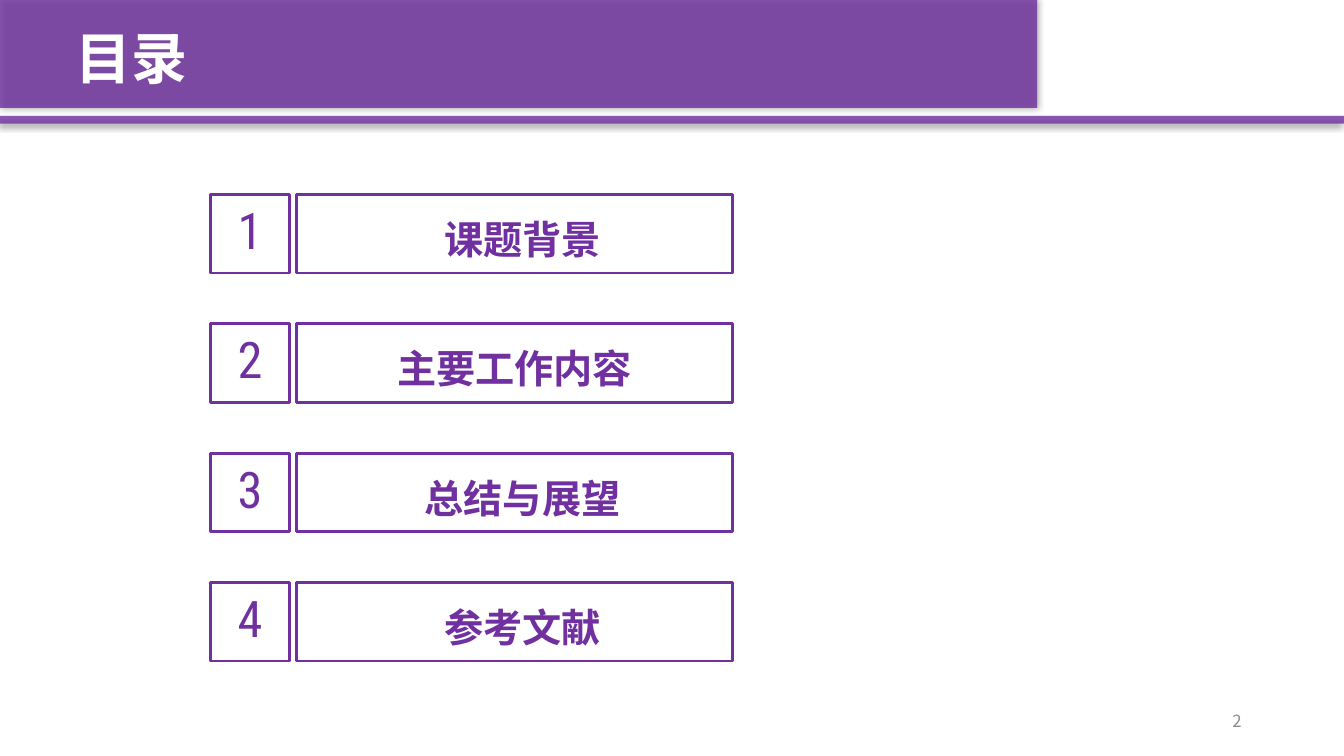
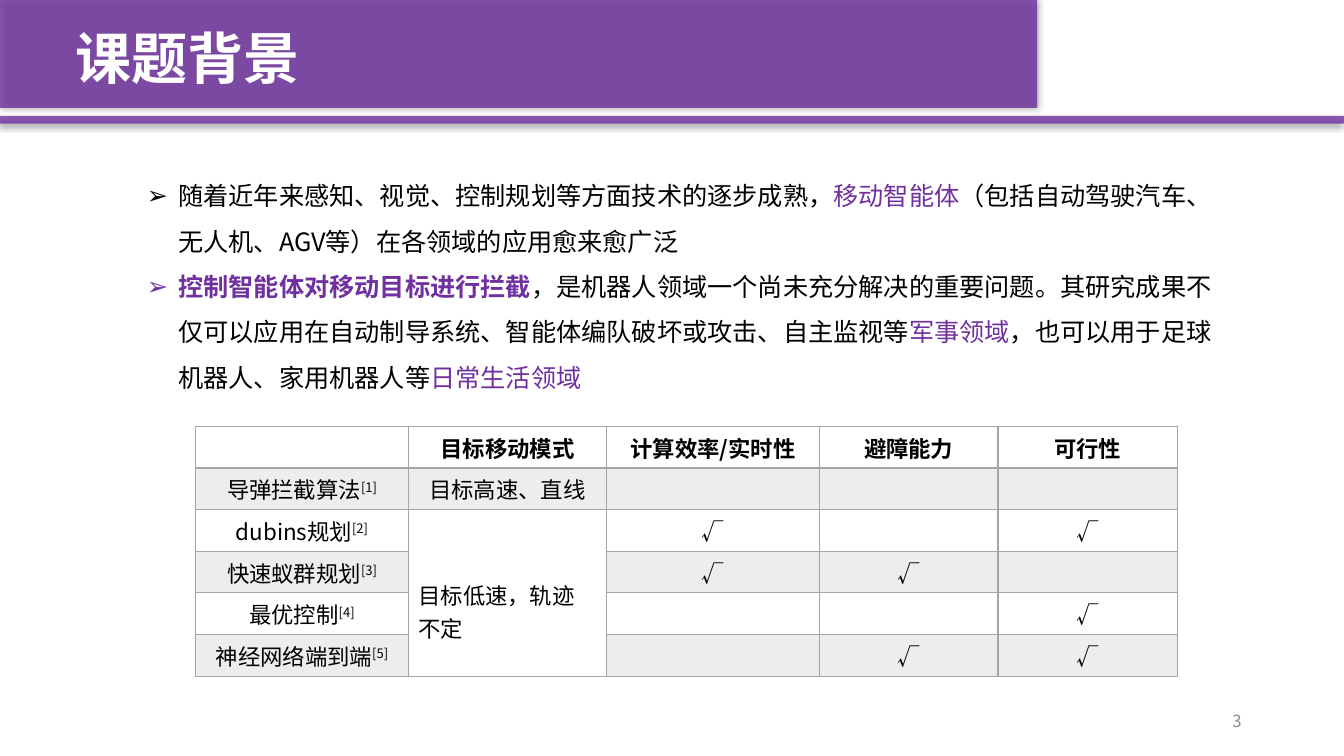
"""Build the contents slide and the background slide of a thesis talk."""
from lxml import etree
from pptx import Presentation
from pptx.dml.color import RGBColor
from pptx.enum.shapes import MSO_SHAPE
from pptx.enum.text import MSO_ANCHOR, MSO_AUTO_SIZE, PP_ALIGN
from pptx.oxml.ns import qn
from pptx.util import Cm, Pt

RECT = MSO_SHAPE.RECTANGLE
TOP, MIDDLE = MSO_ANCHOR.TOP, MSO_ANCHOR.MIDDLE
LEFT, CENTER, RIGHT = PP_ALIGN.LEFT, PP_ALIGN.CENTER, PP_ALIGN.RIGHT
FIXED = MSO_AUTO_SIZE.NONE


class Theme:
    purple, black, white = "7030A0", "000000", "FFFFFF"
    gray, rule, stripe = "8C8C8C", "A5A5A5", "EDEDED"
    sans, slim = "Noto Sans CJK SC", "Roboto Condensed"
    title = {"name": sans, "size": Pt(40), "bold": True}
    label = {"name": sans, "size": Pt(28), "bold": True}
    digit = {"name": slim, "size": Pt(36), "bold": False}
    body = {"name": sans, "size": Pt(18), "bold": False}
    strong = {**body, "bold": True}
    cell = {"name": sans, "size": Pt(16), "bold": False}
    head = {**cell, "bold": True}
    page = {"name": sans, "size": Pt(12), "bold": False}


BANDS = [
    {"box": (0, 0, 26.14, 2.72), "blur": 5, "dist": 0, "dir": 0},
    {"box": (0, 2.92, 33.87, 0.2), "blur": 4, "dist": 3, "dir": 135},
]
AGENDA = [("课题背景", 0.4), ("主要工作内容", 0), ("总结与展望", 0.4), ("参考文献", 0.4)]
POINTS = [
    [
        ("随着近年来感知、视觉、控制规划等方面技术的逐步成熟，", Theme.black, Theme.body),
        ("移动智能体", Theme.purple, Theme.body),
        ("（包括自动驾驶汽车、无人机、AGV等）在各领域的应用愈来愈广泛", Theme.black, Theme.body),
    ],
    [
        ("控制智能体对移动目标进行拦截", Theme.purple, Theme.strong),
        ("，是机器人领域一个尚未充分解决的重要问题。其研究成果不仅可以应用在自动制导系统、"
         "智能体编队破坏或攻击、自主监视等", Theme.black, Theme.body),
        ("军事领域", Theme.purple, Theme.body),
        ("，也可以用于足球机器人、家用机器人等", Theme.black, Theme.body),
        ("日常生活领域", Theme.purple, Theme.body),
    ],
]
COLS = [5.36, 5, 5.36, 4.5, 4.52]
ROWS = [
    ["", "目标移动模式", "计算效率/实时性", "避障能力", "可行性"],
    ["导弹拦截算法", "目标高速、直线", "", "", ""],
    ["dubins规划", "目标低速，轨迹不定", "√", "", "√"],
    ["快速蚁群规划", "", "√", "√", ""],
    ["最优控制", "", "", "", "√"],
    ["神经网络端到端", "", "", "√", "√"],
]


def lengths(*box):
    return [Cm(x) for x in box]


def place(shape, *box):
    for name, x in zip(("left", "top", "width", "height"), lengths(*box)):
        setattr(shape, name, x)


def write(para, text, color, form):
    run = para.add_run()
    run.text = text
    for name, value in form.items():
        setattr(run.font, name, value)
    run.font.color.rgb = RGBColor.from_string(color)
    east = etree.SubElement(run.font._element, qn("a:ea"))
    east.set("typeface", form["name"])
    return run


def block(slide, *box):
    shape = slide.shapes.add_shape(RECT, *lengths(*box))
    shape.shadow.inherit = False
    return shape


def add_bands(deck, slide):
    tree = deck.slide_master.element.cSld.spTree
    for i, band in enumerate(BANDS):
        shape = block(slide, *band["box"])
        shape.fill.solid()
        shape.fill.fore_color.rgb = RGBColor.from_string(Theme.purple)
        shape.line.fill.background()
        part = shape.element.spPr
        tint = part.find(qn("a:solidFill"))[0]
        etree.SubElement(tint, qn("a:alpha")).set("val", "80000")
        cast = etree.SubElement(part.find(qn("a:effectLst")), qn("a:outerShdw"))
        cast.set("blurRad", str(Pt(band["blur"])))
        cast.set("dist", str(Pt(band["dist"])))
        cast.set("dir", str(band["dir"] * 60000))
        cast.set("rotWithShape", "0")
        tone = etree.SubElement(cast, qn("a:srgbClr"))
        tone.set("val", Theme.black)
        etree.SubElement(tone, qn("a:alpha")).set("val", "40000")
        shape.element.nvSpPr.cNvPr.id = 90 + i
        tree.insert(2 + i, shape.element)


def add_slide(deck, layout, title, page):
    slide = deck.slides.add_slide(deck.slide_layouts[layout])
    head = slide.shapes.title
    place(head, 1.65, 0.46, 22, 1.96)
    frame = head.text_frame
    frame.auto_size, frame.vertical_anchor = FIXED, TOP
    frame.paragraphs[0].alignment = LEFT
    write(frame.paragraphs[0], title, Theme.white, Theme.title)
    foot = slide.shapes.add_textbox(*lengths(23.92, 17.65, 7.62, 1.02)).text_frame
    foot.word_wrap, foot.vertical_anchor = True, MIDDLE
    foot.paragraphs[0].alignment = RIGHT
    write(foot.paragraphs[0], str(page), Theme.gray, Theme.page)
    return slide


def add_agenda(slide):
    for i, (text, shift) in enumerate(AGENDA):
        y = 4.9 + i * 3.26
        for x, wide, words, form, pads in (
            (5.31, 1.98, str(i + 1), Theme.digit, (0, 0, 0, 0.23)),
            (7.47, 11, text, Theme.label, (shift, 0.25, 0, 0)),
        ):
            box = block(slide, x, y, wide, 1.98)
            box.fill.background()
            box.line.color.rgb = RGBColor.from_string(Theme.purple)
            box.line.width = Pt(2)
            frame = box.text_frame
            frame.word_wrap, frame.vertical_anchor = True, MIDDLE
            for side, pad in zip(("left", "top", "right", "bottom"), pads):
                setattr(frame, "margin_" + side, Cm(pad))
            frame.paragraphs[0].alignment = CENTER
            write(frame.paragraphs[0], words, Theme.purple, form)


def add_points(slide):
    body = slide.placeholders[1]
    place(body, 3.45, 4.04, 27.69, 5.92)
    frame = body.text_frame
    frame.auto_size, frame.vertical_anchor = FIXED, TOP
    for i, runs in enumerate(POINTS):
        para = frame.add_paragraph() if i else frame.paragraphs[0]
        para.line_spacing, para.space_before = 1.5, Pt(0)
        props = para._p.get_or_add_pPr()
        props.set("marL", str(Cm(0.79)))
        props.set("indent", str(-Cm(0.79)))
        etree.SubElement(props, qn("a:buChar")).set("char", "➢")
        for run in runs:
            write(para, *run)


def set_edges(cell, head):
    props = cell._tc.get_or_add_tcPr()
    for i, side in enumerate(("lnL", "lnR", "lnT", "lnB")):
        line = etree.Element(qn("a:" + side))
        line.set("w", str(Pt(2 if head and side == "lnB" else 1)))
        fill = etree.SubElement(line, qn("a:solidFill"))
        etree.SubElement(fill, qn("a:srgbClr")).set("val", Theme.rule)
        props.insert(i, line)


def add_grid(slide):
    high = 1.05
    frame = slide.shapes.add_table(
        len(ROWS), len(COLS), *lengths(4.93, 10.74, sum(COLS), high * len(ROWS)))
    table = frame.table
    table.first_row = table.horz_banding = False
    for col, wide in zip(table.columns, COLS):
        col.width = Cm(wide)
    for r, row in enumerate(ROWS):
        table.rows[r].height = Cm(high)
        for c, text in enumerate(row):
            cell = table.cell(r, c)
            if r % 2 and (c != 1 or r == 1):
                cell.fill.solid()
                cell.fill.fore_color.rgb = RGBColor.from_string(Theme.stripe)
            else:
                cell.fill.background()
            set_edges(cell, r == 0)
            if text:
                para = cell.text_frame.paragraphs[0]
                para.alignment = CENTER
                write(para, text, Theme.black, Theme.cell if r else Theme.head)
                if r and c == 0:
                    note = write(para, f"[{r}]", Theme.black, Theme.cell)
                    note.font._element.set("baseline", "30000")
    tall = table.cell(2, 1)
    tall.merge(table.cell(5, 1))
    tall.margin_top = Cm(1.75)
    tall.text_frame.paragraphs[0].alignment = LEFT


def main():
    deck = Presentation()
    deck.slide_width, deck.slide_height = Cm(33.87), Cm(19.05)
    first = add_slide(deck, 5, "目录", 2)
    add_bands(deck, first)
    add_agenda(first)
    second = add_slide(deck, 1, "课题背景", 3)
    add_points(second)
    add_grid(second)
    deck.save("out.pptx")


if __name__ == "__main__":
    main()
